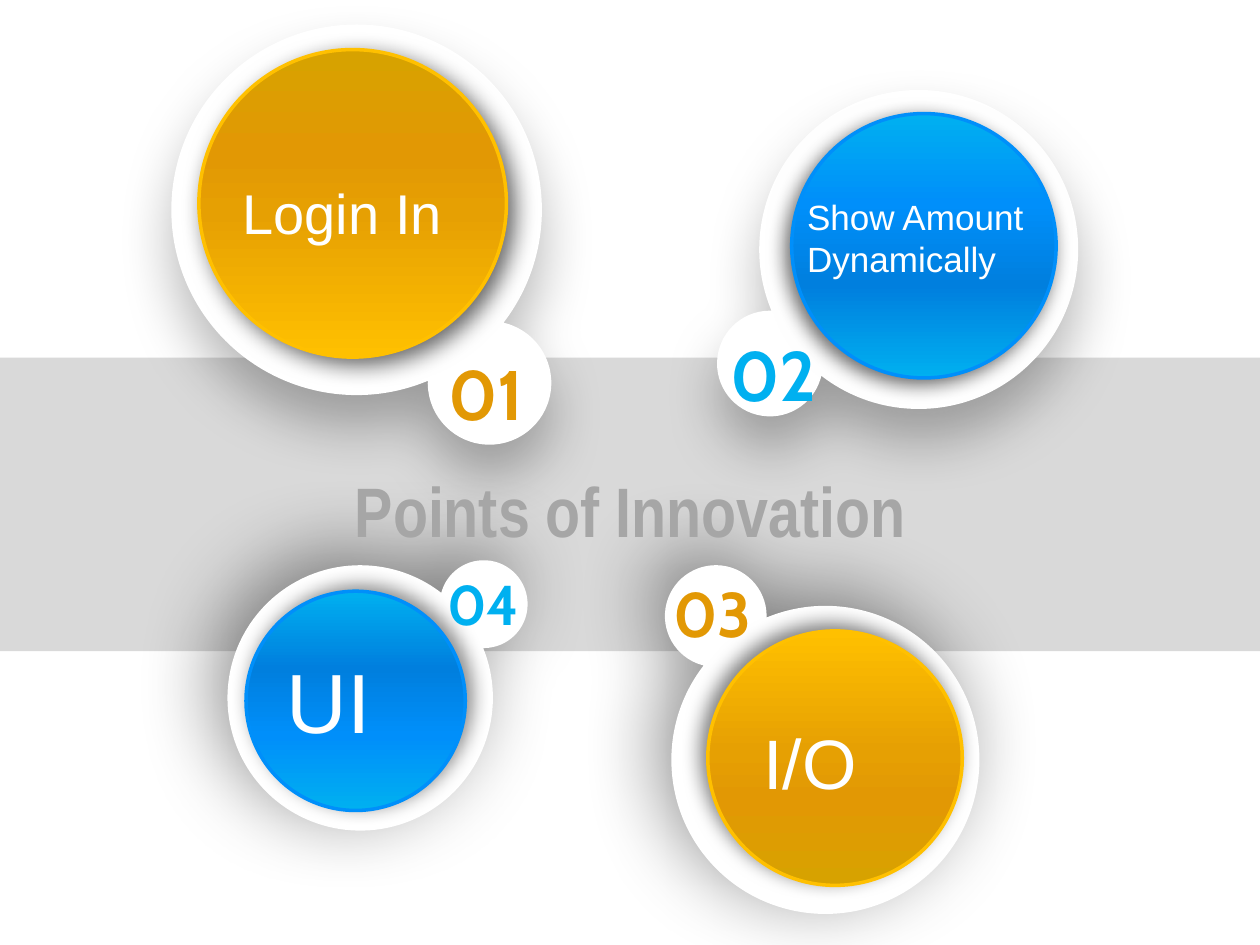
import math

import pptx
import pptx.dml.color
import pptx.enum.shapes
import pptx.enum.text
import pptx.oxml
import pptx.oxml.ns
import pptx.util

Cm, Pt = pptx.util.Cm, pptx.util.Pt
NS = pptx.oxml.ns.nsdecls("a")
qn = pptx.oxml.ns.qn
SHAPE = pptx.enum.shapes.MSO_SHAPE
ALIGN = pptx.enum.text.PP_ALIGN

GOLD, SKY, WHITE = "E29804", "00B0F0", "FFFFFF"
GOLD_STOPS = [(0, "D7A200"), (34, GOLD), (53, "E6A003"), (100, "FFC000")]
BLUE_STOPS = [(0, SKY), (34, "008FFA"), (65, "007FDE"), (100, SKY)]
# Look of a ball: gradient stops, gradient angle, rotation, line colour
GOLD_BALL = dict(stops=GOLD_STOPS, angle=90, rotation=0, line="FFC000")
BLUE_BALL = dict(stops=BLUE_STOPS, angle=0, rotation=90, line="008FFA")


def rgb(value):
    return pptx.dml.color.RGBColor.from_string(value)


def set_all(obj, values):
    for name, value in values.items():
        setattr(obj, name, value)


def bounds(circles):
    return (min(x - r for x, y, r in circles), min(y - r for x, y, r in circles),
            max(x + r for x, y, r in circles), max(y + r for x, y, r in circles))


def quarter_turn_back(circles):
    """Circles turned 90 degrees anticlockwise about the centre of their box."""
    x1, y1, x2, y2 = bounds(circles)
    cx, cy = (x1 + x2) / 2, (y1 + y2) / 2
    return [(cx + y - cy, cy - x + cx, r) for x, y, r in circles]


def arc(circle, start, end, count):
    """Bezier curves along an arc, each with start, two controls and end."""
    cx, cy, radius = circle
    step = (end - start) / count
    k = 4 / 3 * math.tan(step / 4)

    def point(t, pull):
        return (cx + radius * (math.cos(t) - pull * math.sin(t)),
                cy + radius * (math.sin(t) + pull * math.cos(t)))

    for i in range(count):
        t = start + i * step
        yield point(t, 0), point(t, k), point(t + step, -k), point(t + step, 0)


def joined_circles(big, small):
    """Outline of two overlapping circles, each given as (cx, cy, radius)."""
    (x1, y1, r1), (x2, y2, r2) = big, small
    d = math.hypot(x2 - x1, y2 - y1)
    toward = math.atan2(y2 - y1, x2 - x1)
    a = math.acos((r1**2 + d**2 - r2**2) / (2 * r1 * d))
    b = math.acos((r2**2 + d**2 - r1**2) / (2 * r2 * d))
    return [*arc(big, toward + a, toward + 2 * math.pi - a, 4),
            *arc(small, toward + math.pi + b, toward + 3 * math.pi - b, 3)]


class Deck:
    line_width = Pt(2)
    spacing = 1.3

    def __init__(self, prs):
        self.s = prs.slides.add_slide(prs.slide_layouts[6])

    def paint(self, sp, fill, line=None):
        sp.shadow.inherit = False
        sp.fill.solid()
        sp.fill.fore_color.rgb = rgb(fill)
        if line:
            sp.line.color.rgb = rgb(line)
            sp.line.width = self.line_width
        else:
            sp.line.fill.background()

    def shade(self, sp, alpha, blur, dist, angle):
        sp.element.spPr.find(qn("a:effectLst")).append(pptx.oxml.parse_xml(
            f'<a:outerShdw {NS} blurRad="{Pt(blur)}" dist="{Pt(dist)}" '
            f'dir="{angle * 60000}" algn="ctr" rotWithShape="0">'
            f'<a:srgbClr val="000000"><a:alpha val="{alpha * 1000}"/>'
            f'</a:srgbClr></a:outerShdw>'))

    def band(self, x, y, w, h, fill):
        sp = self.s.shapes.add_shape(SHAPE.RECTANGLE, Cm(x), Cm(y), Cm(w), Cm(h))
        self.paint(sp, fill)

    def plate(self, circles, rotation, shadow):
        if rotation:
            circles = quarter_turn_back(circles)
        x1, y1, x2, y2 = bounds(circles)
        curves = joined_circles(*circles)

        # The box gives the frame; curves then take the place of its sides
        builder = self.s.shapes.build_freeform(Cm(x1), Cm(y1))
        builder.add_line_segments([(Cm(x2), Cm(y1)), (Cm(x2), Cm(y2)), (Cm(x1), Cm(y2))])
        sp = builder.convert_to_shape()
        outline = next(sp.element.iter(qn("a:path")))
        for child in list(outline):
            outline.remove(child)

        def add(tag, points):
            pts = "".join(f'<a:pt x="{Cm(x - x1)}" y="{Cm(y - y1)}"/>' for x, y in points)
            outline.append(pptx.oxml.parse_xml(f"<a:{tag} {NS}>{pts}</a:{tag}>"))

        add("moveTo", curves[0][:1])
        for curve in curves:
            add("cubicBezTo", curve[1:])
        add("close", [])
        self.paint(sp, WHITE, WHITE)
        self.shade(sp, *shadow)
        sp.rotation = rotation

    def ball(self, x, y, size, look, flip, shadow):
        sp = self.s.shapes.add_shape(SHAPE.OVAL, Cm(x), Cm(y), Cm(size), Cm(size))
        self.paint(sp, WHITE, look["line"])
        self.shade(sp, *shadow)
        sp.rotation = look["rotation"]
        spPr = sp.element.spPr
        if flip:
            for name in ("flipH", "flipV"):
                spPr.xfrm.set(name, "1")
        stops = "".join(f'<a:gs pos="{pos * 1000}"><a:srgbClr val="{c}"/></a:gs>'
                        for pos, c in look["stops"])
        spPr.replace(spPr.find(qn("a:solidFill")), pptx.oxml.parse_xml(
            f'<a:gradFill {NS} rotWithShape="1"><a:gsLst>{stops}</a:gsLst>'
            f'<a:lin ang="{look["angle"] * 60000}" scaled="0"/></a:gradFill>'))

    def text(self, box, lines, size, font, color, bold=False, indent=0, **para):
        tf = self.s.shapes.add_textbox(*map(Cm, box)).text_frame
        set_all(tf, dict(word_wrap=True, margin_left=Cm(0.25 + indent),
                         auto_size=pptx.enum.text.MSO_AUTO_SIZE.SHAPE_TO_FIT_TEXT))
        for i, line in enumerate(lines):
            p = tf.add_paragraph() if i else tf.paragraphs[0]
            set_all(p, para)
            r = p.add_run()
            r.text = line
            set_all(r.font, dict(size=Pt(size), name=font, bold=bold))
            r.font.color.rgb = rgb(color)

    def heading(self, box, line, size, font, color):
        self.text(box, [line], size, font, color, bold=True,
                  alignment=ALIGN.CENTER, line_spacing=self.spacing)


def main():
    prs = pptx.Presentation()
    set_all(prs, dict(slide_width=Cm(25.4), slide_height=Cm(19.05)))
    deck = Deck(prs)

    # Grey band
    deck.band(0, 7.21, 25.4, 5.92, "D9D9D9")

    # White plates with their coloured balls
    below, above = (28, 32, 17, 90), (41, 45, 12, 225)
    for circles, plate_shadow, ball, look, flip, ball_shadow in [
        ([(7.19, 4.23, 3.7), (9.87, 7.72, 1.21)], below,
         (4.01, 1, 6.2), GOLD_BALL, False, (60, 13, 5, 45)),
        ([(18.52, 5.03, 3.18), (15.52, 7.33, 1.03)], below,
         (15.96, 2.29, 5.33), BLUE_BALL, False, (58, 11, 4, 135)),
        ([(16.64, 15.32, 3.07), (14.43, 12.42, 0.99)], above,
         (14.27, 12.72, 5.13), GOLD_BALL, True, (49, 11, 5, 225)),
        ([(7.26, 14.07, 2.64), (9.75, 12.18, 0.85)], above,
         (4.96, 11.92, 4.42), BLUE_BALL, True, (46, 11, 4, 315)),
    ]:
        deck.plate(circles, look["rotation"], plate_shadow)
        deck.ball(*ball, look, flip, ball_shadow)

    # Title
    deck.heading((4.81, 8.8, 15.8, 2.49), "Points of Innovation", 40,
                 "Arial Narrow", "A6A6A6")

    # Numbers
    for x, y, h, number, size, color in [
        (8.46, 6.43, 2.31, "01", 40, GOLD),
        (14.26, 6.05, 2.31, "02", 40, SKY),
        (13.03, 11, 2.08, "03", 36, GOLD),
        (8.41, 10.95, 1.88, "04", 32, SKY),
    ]:
        deck.heading((x, y, 2.67, h), number, size, "Cabin", color)

    # Labels on the balls
    for box, lines, size, indent in [
        ((4.01, 3.48, 8.2, 1.63), ["Login In"], 32, 0.63),
        ((16.02, 3.81, 5.28, 1.96), ["Show Amount", "Dynamically"], 20, 0),
        ((5.53, 12.97, 4.27, 2.31), ["UI"], 48, 0),
        ((15.14, 14.38, 4.55, 1.96), ["I/O"], 40, 0),
    ]:
        deck.text(box, lines, size, "Arial", WHITE, indent=indent)

    prs.save("out.pptx")


if __name__ == "__main__":
    main()
